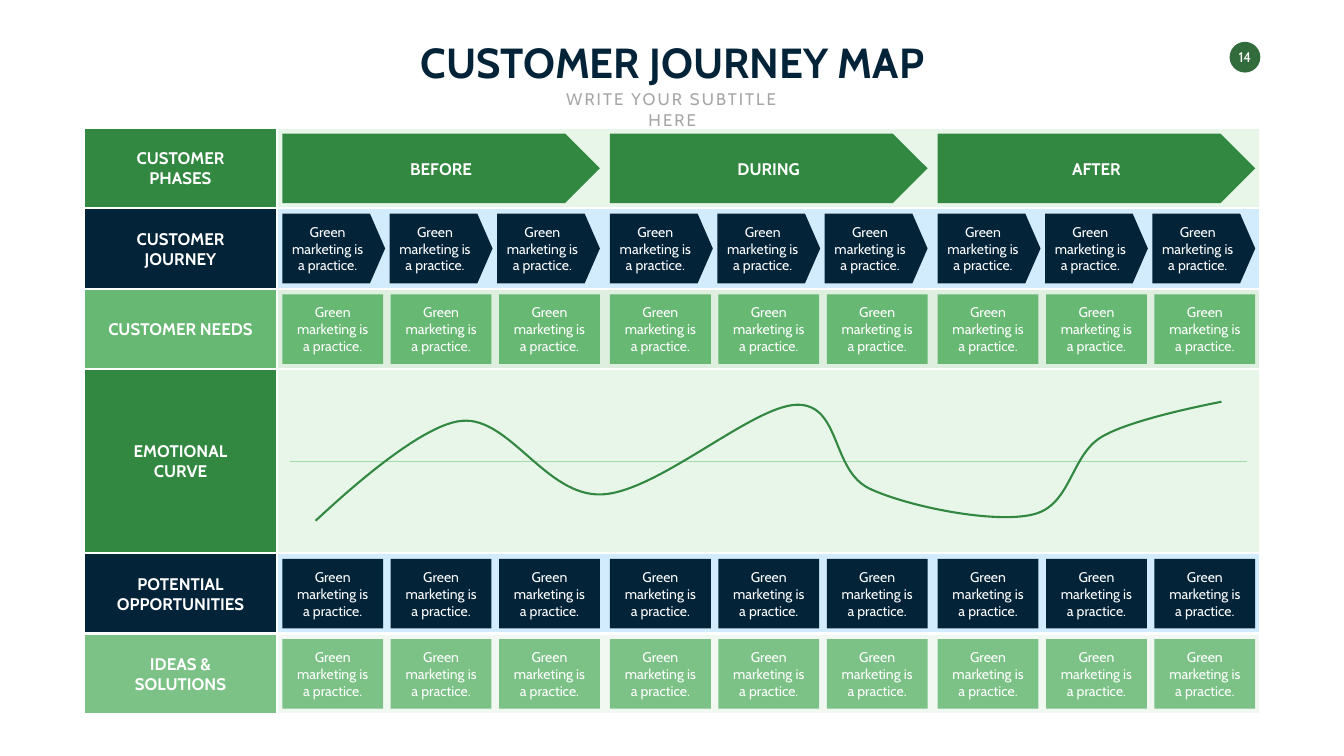
from lxml import etree
from pptx import Presentation
from pptx import util as u
from pptx.dml.color import RGBColor
from pptx.enum import shapes, text
from pptx.oxml.ns import qn

GREEN = RGBColor(0x32, 0x88, 0x40)
NAVY = RGBColor(0x02, 0x23, 0x38)
LEAF = RGBColor(0x66, 0xB8, 0x73)
MINT = RGBColor(0x7C, 0xC2, 0x87)
PALE = RGBColor(0xD0, 0xEE, 0xD4)
FAINT = RGBColor(0xE5, 0xF3, 0xE7)
SKY = RGBColor(0xA8, 0xDB, 0xFC)
AXIS = RGBColor(0xA0, 0xDC, 0xAA)
BADGE = RGBColor(0x33, 0x6C, 0x3C)
GREY = RGBColor(0xA6, 0xA6, 0xA6)
WHITE = RGBColor(0xFF, 0xFF, 0xFF)

RECT = shapes.MSO_SHAPE.RECTANGLE
ARROW = shapes.MSO_SHAPE.PENTAGON
OVAL = shapes.MSO_SHAPE.OVAL

NOTE = "Green marketing is a practice."
PHASES = ["BEFORE", "DURING", "AFTER"]
LEFT, TOP = 1.66, 2.54
SIDE, MAIN = 3.84, 19.5
PHASE, PITCH = 6.3, 6.5
PAD, TILE = 0.11, 1.38
CURVE = [
    (0.76, 3.01),
    (0.77, 3.02), (2.71, 1.11), (3.66, 1.03),
    (4.61, 0.94), (5.33, 2.54), (6.44, 2.49),
    (7.55, 2.44), (9.42, 0.73), (10.31, 0.71),
    (11.19, 0.7), (10.98, 2.02), (11.76, 2.38),
    (12.54, 2.74), (14.22, 3.07), (14.98, 2.89),
    (15.75, 2.72), (15.73, 1.72), (16.35, 1.35),
    (16.98, 0.97), (18.76, 0.65), (18.73, 0.65),
]


def inch(*vals):
    return [u.Inches(v) for v in vals]


def write(item, words, size, color=WHITE, bold=False, pads=(0.1, 0.1), wrap=True):
    frame = item.text_frame
    frame.word_wrap = wrap
    frame.margin_left, frame.margin_right = inch(*pads)
    para = frame.paragraphs[0]
    para.text = words
    para.alignment = text.PP_ALIGN.CENTER
    para.font.name = "Cabin"
    para.font.size = u.Pt(size)
    para.font.bold = bold
    para.font.color.rgb = color
    return para


def block(slide, kind, box, color, alpha=None, edge=False):
    item = slide.shapes.add_shape(kind, *inch(*box))
    item.shadow.inherit = False
    item.fill.solid()
    item.fill.fore_color.rgb = color
    item.text_frame.vertical_anchor = text.MSO_ANCHOR.MIDDLE
    if alpha:
        tint = item.fill._xPr.find(qn("a:solidFill"))[0]
        etree.SubElement(tint, qn("a:alpha")).set("val", str(alpha * 1000))
    if edge:
        item.line.color.rgb = WHITE
        item.line.width = u.Pt(3)
    else:
        item.line.fill.background()
    return item


def header(slide, x, y, w):
    title = slide.shapes.add_textbox(*inch(x, y, w, 1.11))
    write(title, "CUSTOMER JOURNEY MAP", 60, NAVY, True, wrap=False)
    width = 5.43
    sub = slide.shapes.add_textbox(*inch(x + (w - width) / 2, y + 1.05, width, 0.5))
    para = write(sub, "WRITE YOUR SUBTITLE HERE", 24, GREY)
    para.runs[0].font._element.set("spc", "300")


def badge(slide, x, y):
    dot = block(slide, OVAL, (x, y, 0.61, 0.61), BADGE)
    write(dot, "14", 20, pads=(0, 0), wrap=False)


def band(slide, x, y, h, label, color, tint, alpha):
    block(slide, RECT, (x + SIDE, y, MAIN, h), tint, alpha, True)
    side = block(slide, RECT, (x, y, SIDE, h), color, edge=True)
    write(side, label, 24, bold=True, pads=(0.48, 0.48))


def phases(slide, x, y, color):
    for i, name in enumerate(PHASES):
        item = block(slide, ARROW, (x + i * PITCH, y, PHASE, TILE), color)
        write(item, name, 24, bold=True, pads=(0.44, 0.1))


def tiles(slide, x, y, color, kind=RECT, w=2, pads=(0.25, 0.25)):
    step = (PHASE - w) / 2
    for i in range(9):
        spot = x + i // 3 * PITCH + i % 3 * step
        item = block(slide, kind, (spot, y, w, TILE), color)
        if kind == ARROW:
            item.adjustments[0] = 0.218
        write(item, NOTE, 20, pads=pads)


def steps(slide, x, y, color):
    tiles(slide, x, y, color, ARROW, 2.04, (0.15, 0.24))


def mood(slide, x, y, color):
    x, y = x - 0.1, y - PAD
    ends = inch(x + 0.25, y + 1.83, x + 19.24, y + 1.83)
    axis = slide.shapes.add_connector(shapes.MSO_CONNECTOR.STRAIGHT, *ends)
    axis.line.color.rgb = AXIS
    axis.line.width = u.Pt(1)
    etree.SubElement(axis._element.spPr, qn("a:effectLst"))

    spots = [inch(x + dx, y + dy) for dx, dy in CURVE]
    pen = slide.shapes.build_freeform(*spots[0])
    pen.add_line_segments(spots[1:], close=False)
    wave = pen.convert_to_shape()
    wave.shadow.inherit = False
    wave.fill.background()
    wave.line.color.rgb = color
    wave.line.width = u.Pt(3)
    track = next(wave._element.iter(qn("a:path")))
    legs = track.findall(qn("a:lnTo"))
    for i in range(0, len(legs), 3):
        bend = etree.SubElement(track, qn("a:cubicBezTo"))
        for leg in legs[i:i + 3]:
            bend.append(leg[0])
            track.remove(leg)


ROWS = [
    ("CUSTOMER PHASES", 1.59, GREEN, PALE, 50, phases),
    ("CUSTOMER JOURNEY", 1.6, NAVY, SKY, 50, steps),
    ("CUSTOMER NEEDS", 1.59, LEAF, MINT, 25, tiles),
    ("EMOTIONAL CURVE", 3.66, GREEN, PALE, 50, mood),
    ("POTENTIAL OPPORTUNITIES", 1.59, NAVY, SKY, 50, tiles),
    ("IDEAS & SOLUTIONS", 1.59, MINT, FAINT, 50, tiles),
]


def main():
    deck = Presentation()
    deck.slide_width, deck.slide_height = inch(26.66, 15)
    slide = deck.slides.add_slide(deck.slide_layouts[6])
    badge(slide, 24.39, 0.83)
    header(slide, 7.78, 0.67, 11.11)
    y = TOP
    for label, h, color, tint, alpha, fill in ROWS:
        band(slide, LEFT, y, h, label, color, tint, alpha)
        fill(slide, LEFT + SIDE + 0.1, y + PAD, color)
        y += h
    deck.save("out.pptx")


if __name__ == "__main__":
    main()
